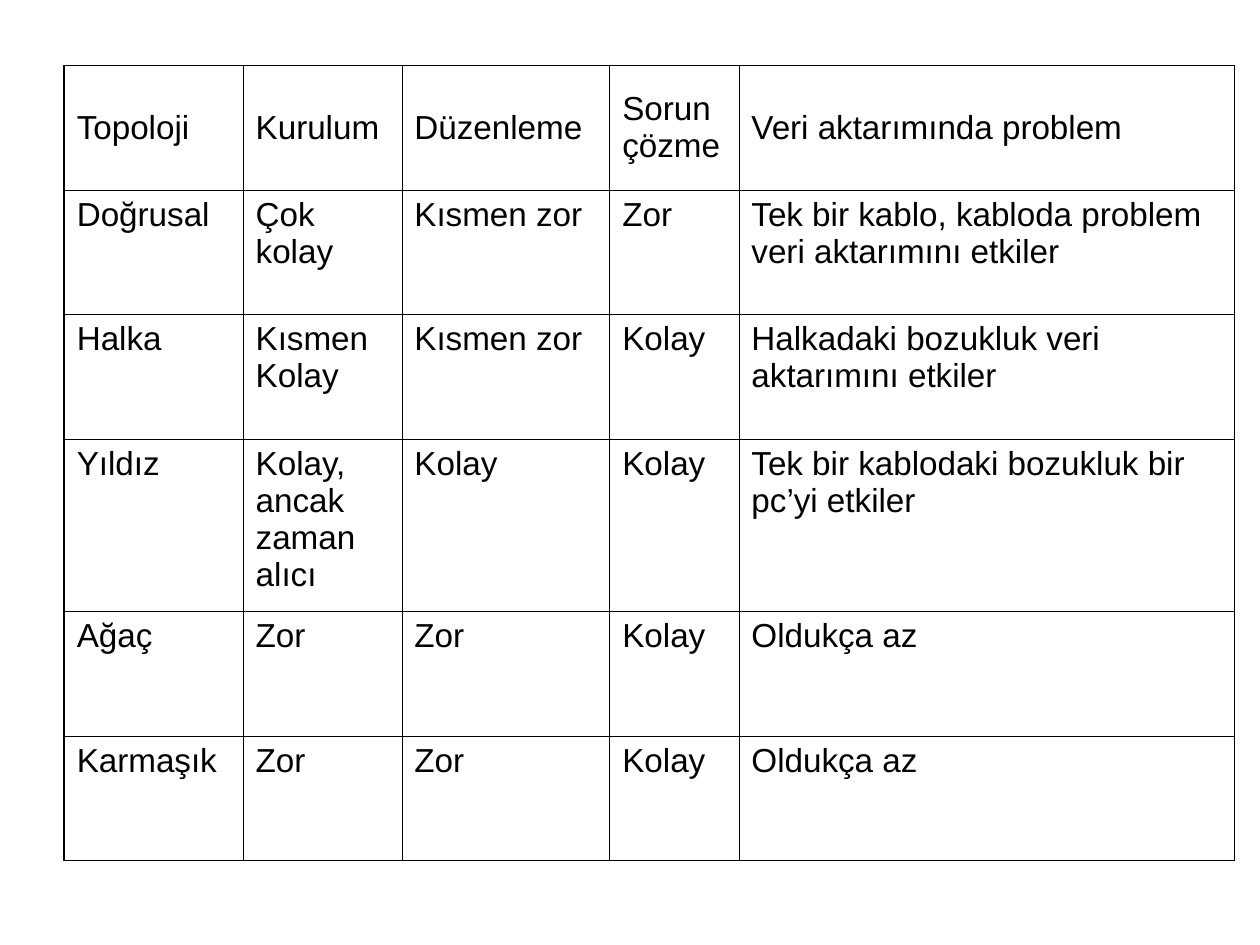
"""Build a slide with a table that compares network topologies."""
from dataclasses import dataclass

from lxml import etree
from pptx import Presentation
from pptx.dml.color import RGBColor
from pptx.enum.text import MSO_ANCHOR, PP_ALIGN
from pptx.oxml.ns import qn
from pptx.util import Inches, Pt

MIDDLE, TOP = MSO_ANCHOR.MIDDLE, MSO_ANCHOR.TOP
LEFT = PP_ALIGN.LEFT


@dataclass(frozen=True)
class Theme:
    """Colours, font and sizes in points."""
    ink: str = "000000"
    font: str = "Arial"
    size: float = 19
    thin: float = 0.45
    thick: float = 1.08


class Deck:
    """Holds the theme and the current slide, on a grid of 100 by 75 units."""

    def __init__(self, theme):
        """Open a deck with one blank slide."""
        self.theme = theme
        self.prs = Presentation()
        self.prs.slide_width, self.prs.slide_height = Inches(10), Inches(7.5)
        self.unit = self.prs.slide_width // 100
        self.slide = self.prs.slides.add_slide(self.prs.slide_layouts[6])

    def span(self, count):
        """Turn grid units into a length."""
        return round(count * self.unit)

    def edge(self, cell, side, width):
        """Draw one border of a cell."""
        props = cell._tc.get_or_add_tcPr()
        line = etree.SubElement(props, qn(f"a:ln{side}"), w=str(Pt(width)))
        fill = etree.SubElement(line, qn("a:solidFill"))
        etree.SubElement(fill, qn("a:srgbClr"), val=self.theme.ink)

    def label(self, cell, text, anchor):
        """Put one styled run in a cell."""
        cell.vertical_anchor = anchor
        cell.margin_left = cell.margin_right = self.span(1)
        cell.margin_top = cell.margin_bottom = self.span(0.5)
        para = cell.text_frame.paragraphs[0]
        para.alignment = LEFT
        run = para.add_run()
        run.text = text
        run.font.name = self.theme.font
        run.font.size = Pt(self.theme.size)
        run.font.color.rgb = RGBColor.from_string(self.theme.ink)

    def table(self, left, top, widths, heights, rows):
        """Add a ruled table with a thick frame and a centred head row."""
        sizes = (left, top, sum(widths), sum(heights))
        frame = self.slide.shapes.add_table(
            len(rows), len(widths), *map(self.span, sizes))
        grid = frame.table
        grid.first_row = grid.horz_banding = False
        for col, width in zip(grid.columns, widths):
            col.width = self.span(width)
        for row, height in zip(grid.rows, heights):
            row.height = self.span(height)
        for r, row in enumerate(rows):
            for c, text in enumerate(row):
                cell = grid.cell(r, c)
                self.label(cell, text, TOP if r else MIDDLE)
                outer = {"L": c == 0, "R": c == len(widths) - 1,
                         "T": r == 0, "B": r == len(rows) - 1}
                for side, thick in outer.items():
                    self.edge(cell, side,
                              self.theme.thick if thick else self.theme.thin)
                cell.fill.background()

    def save(self):
        """Save the file."""
        self.prs.save("out.pptx")


ROWS = [
    ("Topoloji", "Kurulum", "Düzenleme", "Sorun çözme",
     "Veri aktarımında problem"),
    ("Doğrusal", "Çok kolay", "Kısmen zor", "Zor",
     "Tek bir kablo, kabloda problem veri aktarımını etkiler"),
    ("Halka", "Kısmen Kolay", "Kısmen zor", "Kolay",
     "Halkadaki bozukluk veri aktarımını etkiler"),
    ("Yıldız", "Kolay, ancak zaman alıcı", "Kolay", "Kolay",
     "Tek bir kablodaki bozukluk bir pc’yi etkiler"),
    ("Ağaç", "Zor", "Zor", "Kolay", "Oldukça az"),
    ("Karmaşık", "Zor", "Zor", "Kolay", "Oldukça az"),
]


def main():
    """Build and save the slide."""
    deck = Deck(Theme())
    widths = (14.2, 12.6, 16.5, 10.25, 39.35)
    heights = [13.7 if row[0] == "Yıldız" else 9.88 for row in ROWS]
    deck.table(5.1, 5.2, widths, heights, ROWS)
    deck.save()


if __name__ == "__main__":
    main()
